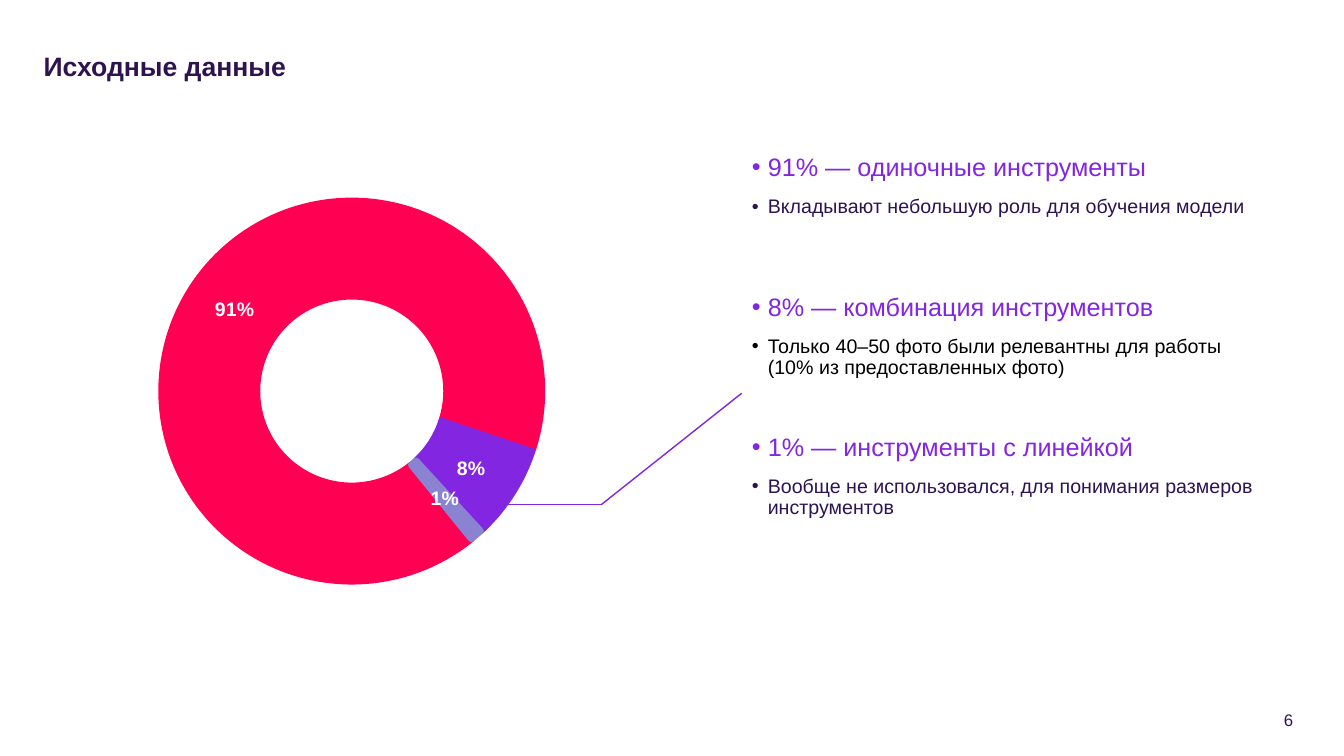
from lxml.etree import SubElement
from pptx import Presentation
from pptx.chart.data import CategoryChartData
from pptx.dml.color import RGBColor
from pptx.enum.chart import XL_CHART_TYPE as ChartType
from pptx.enum.shapes import MSO_CONNECTOR as Connector
from pptx.enum.text import MSO_ANCHOR as Anchor, MSO_AUTO_SIZE as AutoSize, PP_ALIGN as Align
from pptx.oxml import parse_xml
from pptx.oxml.ns import nsdecls, qn
from pptx.util import Cm, Pt

COLORS = {
    "dark": "2D1451",
    "purple": "8226E2",
    "red": "FF0053",
    "lilac": "8A83D1",
    "black": "000000",
    "white": "FFFFFF",
}
FONT = "Arial"
GROUPS = [
    ("91% — одиночные инструменты",
     "Вкладывают небольшую роль для обучения модели", "dark"),
    ("8% — комбинация инструментов",
     "Только 40–50 фото были релевантны для работы (10% из предоставленных фото)", "black"),
    ("1% — инструменты с линейкой",
     "Вообще не использовался, для понимания размеров инструментов", "dark"),
]
SHARES = [(91, "red"), (8, "purple"), (1, "lilac")]


def rgb(name):
    """Return the named colour."""
    return RGBColor.from_string(COLORS[name])


def set_font(font, size, color, bold=False):
    """Apply the slide's typeface with a size, colour and weight."""
    font.name, font.size, font.bold = FONT, Pt(size), bold
    font.color.rgb = rgb(color)


def add_text(s, text, box, size, color, bold=False, bullet=False, anchor=Anchor.TOP):
    """Add a one-paragraph text box and return its frame."""
    tf = s.shapes.add_textbox(*(Cm(v) for v in box)).text_frame
    tf.word_wrap = True
    tf.vertical_anchor = anchor
    tf.margin_left = tf.margin_right = tf.margin_top = tf.margin_bottom = Cm(0.13)
    p = tf.paragraphs[0]
    p.text = text
    p.line_spacing = 0.9
    if bullet:
        pPr = p._p.get_or_add_pPr()
        pPr.set("marL", str(Cm(0.4)))
        pPr.set("indent", str(-Cm(0.4)))
        SubElement(pPr, qn("a:buFont"), typeface=FONT)
        SubElement(pPr, qn("a:buChar"), char="•")
    set_font(p.runs[0].font, size, color, bold)
    return tf


def add_doughnut(s, box):
    """Add the doughnut chart of tool shares."""
    data = CategoryChartData()
    data.categories = [str(i + 1) for i in range(len(SHARES))]
    data.add_series("Series 1", [value for value, _ in SHARES])
    chart = s.shapes.add_chart(ChartType.DOUGHNUT, *(Cm(v) for v in box), data).chart
    chart.has_legend = chart.has_title = False
    set_font(chart.font, 10, "black")
    plot = chart.plots[0]
    plot.vary_by_categories = False
    plot._element.find(qn("c:firstSliceAng")).set("val", "141")
    plot._element.find(qn("c:holeSize")).set("val", "75")
    for i, (_, color) in enumerate(SHARES):
        fmt = plot.series[0].points[i].format
        fmt.fill.solid()
        fmt.fill.fore_color.rgb = rgb(color)
        fmt.line.color.rgb = rgb(color)
        fmt.line.width = Pt(5)
    labels = plot.series[0].data_labels
    labels.show_percentage, labels.show_value = True, False
    labels.number_format, labels.number_format_is_linked = "0%", False
    set_font(labels.font, 14, "white", bold=True)
    set_plot_layout(chart)


def set_plot_layout(chart):
    """Let the ring fill the whole chart frame."""
    area = chart._chartSpace.chart.plotArea
    for old in area.findall(qn("c:layout")):
        area.remove(old)
    values = {"x": 0.005, "y": 0.005, "w": 0.99, "h": 0.99}
    edges = "".join(f'<c:{k} val="{v}"/>' for k, v in values.items())
    area.insert(0, parse_xml(
        f'<c:layout {nsdecls("c")}><c:manualLayout><c:layoutTarget val="inner"/>'
        f'<c:xMode val="edge"/><c:yMode val="edge"/>{edges}</c:manualLayout></c:layout>'))


def add_line(s, start, end):
    """Add one straight piece of the callout line."""
    line = s.shapes.add_connector(Connector.STRAIGHT, *(Cm(v) for v in start + end))
    line.line.color.rgb = rgb("purple")
    line.line.width = Pt(1)
    SubElement(line._element.spPr, qn("a:effectLst"))


def main():
    """Build the slide and save it."""
    prs = Presentation()
    prs.slide_width, prs.slide_height = Cm(33.87), Cm(19.05)
    s = prs.slides.add_slide(prs.slide_layouts[6])

    add_text(s, "Исходные данные", (0.97, 1.17, 27.4, 1.04), 19, "dark",
             bold=True, anchor=Anchor.BOTTOM)
    for i, (heading, detail, color) in enumerate(GROUPS):
        top = 3.78 + i * 3.52
        add_text(s, heading, (18.82, top, 13.31, 1.05), 18, "purple", bullet=True)
        add_text(s, detail, (18.82, top + 1.05, 13.31, 1.78), 14, color, bullet=True)

    add_doughnut(s, (3.99, 4.98, 9.75, 9.75))
    bend = (15.16, 12.71)
    add_line(s, bend, (18.69, 9.91))
    add_line(s, bend, (12.67, 12.71))

    tf = add_text(s, "6", (32.21, 17.78, 0.53, 0.74), 12, "dark", anchor=Anchor.MIDDLE)
    tf.word_wrap = False
    tf.auto_size = AutoSize.SHAPE_TO_FIT_TEXT
    tf.paragraphs[0].alignment = Align.CENTER
    tf.paragraphs[0].line_spacing = 1.0
    prs.save("out.pptx")


if __name__ == "__main__":
    main()
